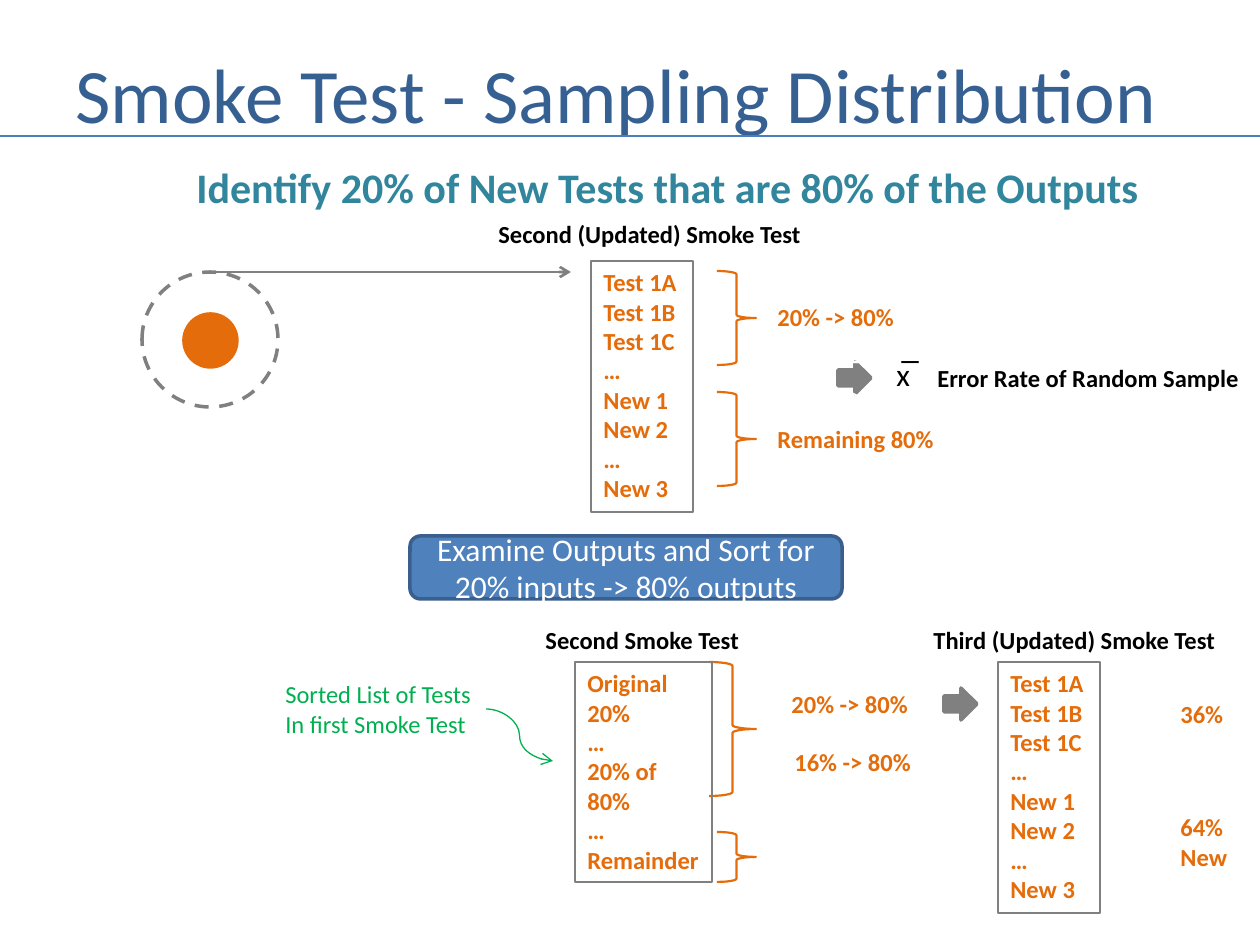
from typing import NamedTuple

from lxml import etree
from pptx import Presentation
from pptx import util as u
from pptx.dml.color import RGBColor
from pptx.enum import dml, shapes, text
from pptx.oxml.ns import qn

PX_PER_INCH = 126
FONT = "Calibri"
BLACK = RGBColor(0x00, 0x00, 0x00)
WHITE = RGBColor(0xFF, 0xFF, 0xFF)
GRAY = RGBColor(0x80, 0x80, 0x80)
ORANGE = RGBColor(0xE4, 0x6C, 0x0A)
GREEN = RGBColor(0x00, 0xB0, 0x50)
TEAL = RGBColor(0x31, 0x85, 0x9C)
TITLE_BLUE = RGBColor(0x37, 0x60, 0x92)
RULE_BLUE = RGBColor(0x4B, 0x7E, 0xBC)
BUTTON_FILL = RGBColor(0x4F, 0x81, 0xBD)
BUTTON_EDGE = RGBColor(0x3A, 0x5F, 0x8C)

Kind = shapes.MSO_SHAPE
Link = shapes.MSO_CONNECTOR


class Area(NamedTuple):
    left: int
    top: int
    width: int
    height: int


class Label(NamedTuple):
    words: str
    area: Area
    color: RGBColor = ORANGE
    size: int = 14
    bold: bool = True
    framed: bool = False


class Figure(NamedTuple):
    kind: Kind
    area: Area
    line: RGBColor
    weight: float = 2
    fill: RGBColor | None = None
    dashed: bool = False
    words: str = ""


class Path(NamedTuple):
    kind: Link
    start: tuple[int, int]
    end: tuple[int, int]
    color: RGBColor
    weight: float
    arrow: bool = True


UPDATED_TESTS = "Test 1A\nTest 1B\nTest 1C\n…\nNew 1\nNew 2\n…\nNew 3"
SORTED_TESTS = "Original\n20%\n…\n20% of\n80%\n…\nRemainder"

TITLE = Label("Smoke Test - Sampling Distribution",
              Area(63, 38, 1144, 110), TITLE_BLUE, 44, False)

LABELS = [
    Label("Identify 20% of New Tests that are 80% of the Outputs",
          Area(184, 155, 978, 64), TEAL, 24),
    Label("Second (Updated) Smoke Test", Area(486, 213, 329, 43), BLACK),
    Label("Second Smoke Test", Area(533, 619, 220, 43), BLACK),
    Label("Third (Updated) Smoke Test", Area(921, 619, 309, 43), BLACK),
    Label("Error Rate of Random Sample", Area(925, 357, 329, 43), BLACK),
    Label(" x̅", Area(877, 349, 47, 50), BLACK, 18, False),
    Label("Sorted List of Tests\nIn first Smoke Test",
          Area(273, 673, 213, 72), GREEN, bold=False),
    Label(UPDATED_TESTS, Area(591, 261, 102, 251), framed=True),
    Label(SORTED_TESTS, Area(575, 662, 137, 220), framed=True),
    Label(UPDATED_TESTS, Area(998, 662, 102, 251), framed=True),
    Label("20% -> 80%", Area(765, 296, 142, 43)),
    Label("Remaining 80%", Area(765, 418, 183, 43)),
    Label("20% -> 80%", Area(779, 683, 142, 43)),
    Label("16% -> 80%", Area(782, 741, 142, 43)),
    Label("36%", Area(1168, 693, 69, 43)),
    Label("64%\vNew", Area(1168, 806, 72, 72)),
]

BRACES = [
    Area(717, 271, 39, 94),
    Area(717, 392, 39, 94),
    Area(709, 662, 47, 134),
    Area(717, 832, 39, 50),
]

FIGURES = [
    Figure(Kind.OVAL, Area(184, 314, 53, 53), ORANGE, fill=ORANGE),
    Figure(Kind.OVAL, Area(142, 272, 136, 135), GRAY, dashed=True),
    Figure(Kind.RIGHT_ARROW, Area(838, 362, 33, 32), GRAY, fill=GRAY, words="->"),
    Figure(Kind.RIGHT_ARROW, Area(944, 688, 33, 32), GRAY, fill=GRAY),
    Figure(Kind.ROUNDED_RECTANGLE, Area(410, 536, 432, 63), BUTTON_EDGE,
           fill=BUTTON_FILL,
           words="Examine Outputs and Sort for 20% inputs -> 80% outputs"),
    *[Figure(Kind.RIGHT_BRACE, area, ORANGE, 1.25) for area in BRACES],
]

PATHS = [
    Path(Link.STRAIGHT, (0, 136), (1260, 136), RULE_BLUE, 1.5, arrow=False),
    Path(Link.STRAIGHT, (204, 272), (571, 272), GRAY, 1.5),
    Path(Link.CURVE, (486, 709), (553, 761), GREEN, 0.75),
]


def px(length: int) -> u.Emu:
    return u.Emu(round(length * u.Inches(1) / PX_PER_INCH))


def style_text(frame, size: int, color: RGBColor, bold: bool = False,
               align=text.PP_ALIGN.LEFT) -> None:
    for para in frame.paragraphs:
        para.alignment = align
        for span in para.runs:
            span.font.name = FONT
            span.font.size = u.Pt(size)
            span.font.bold = bold
            span.font.color.rgb = color


def add_label(page, label: Label):
    box = page.shapes.add_textbox(*map(px, label.area))
    frame = box.text_frame
    frame.text = label.words
    frame.word_wrap = False
    frame.auto_size = text.MSO_AUTO_SIZE.SHAPE_TO_FIT_TEXT
    style_text(frame, label.size, label.color, label.bold)
    if label.framed:
        box.line.color.rgb = GRAY
        box.line.width = u.Pt(0.75)
    return box


def add_title(page) -> None:
    frame = add_label(page, TITLE).text_frame
    frame.auto_size = text.MSO_AUTO_SIZE.NONE
    frame.word_wrap = True
    frame.vertical_anchor = text.MSO_ANCHOR.MIDDLE


def add_figure(page, figure: Figure) -> None:
    shape = page.shapes.add_shape(figure.kind, *map(px, figure.area))
    shape.shadow.inherit = False
    shape.line.color.rgb = figure.line
    shape.line.width = u.Pt(figure.weight)
    if figure.dashed:
        shape.line.dash_style = dml.MSO_LINE.DASH
    if figure.fill is None:
        shape.fill.background()
    else:
        shape.fill.solid()
        shape.fill.fore_color.rgb = figure.fill
    if figure.words:
        shape.text_frame.text = figure.words
        shape.text_frame.vertical_anchor = text.MSO_ANCHOR.MIDDLE
        style_text(shape.text_frame, 18, WHITE, align=text.PP_ALIGN.CENTER)


def add_path(page, path: Path) -> None:
    link = page.shapes.add_connector(
        path.kind, *map(px, (*path.start, *path.end)))
    link.line.color.rgb = path.color
    link.line.width = u.Pt(path.weight)
    if path.arrow:
        etree.SubElement(link.line._get_or_add_ln(), qn("a:tailEnd"), type="arrow")
    etree.SubElement(link._element.spPr, qn("a:effectLst"))


def main() -> None:
    deck = Presentation()
    deck.slide_width, deck.slide_height = px(1260), px(945)
    page = deck.slides.add_slide(deck.slide_layouts[6])
    add_title(page)
    for path in PATHS:
        add_path(page, path)
    for figure in FIGURES:
        add_figure(page, figure)
    for label in LABELS:
        add_label(page, label)
    deck.save("out.pptx")


if __name__ == "__main__":
    main()
